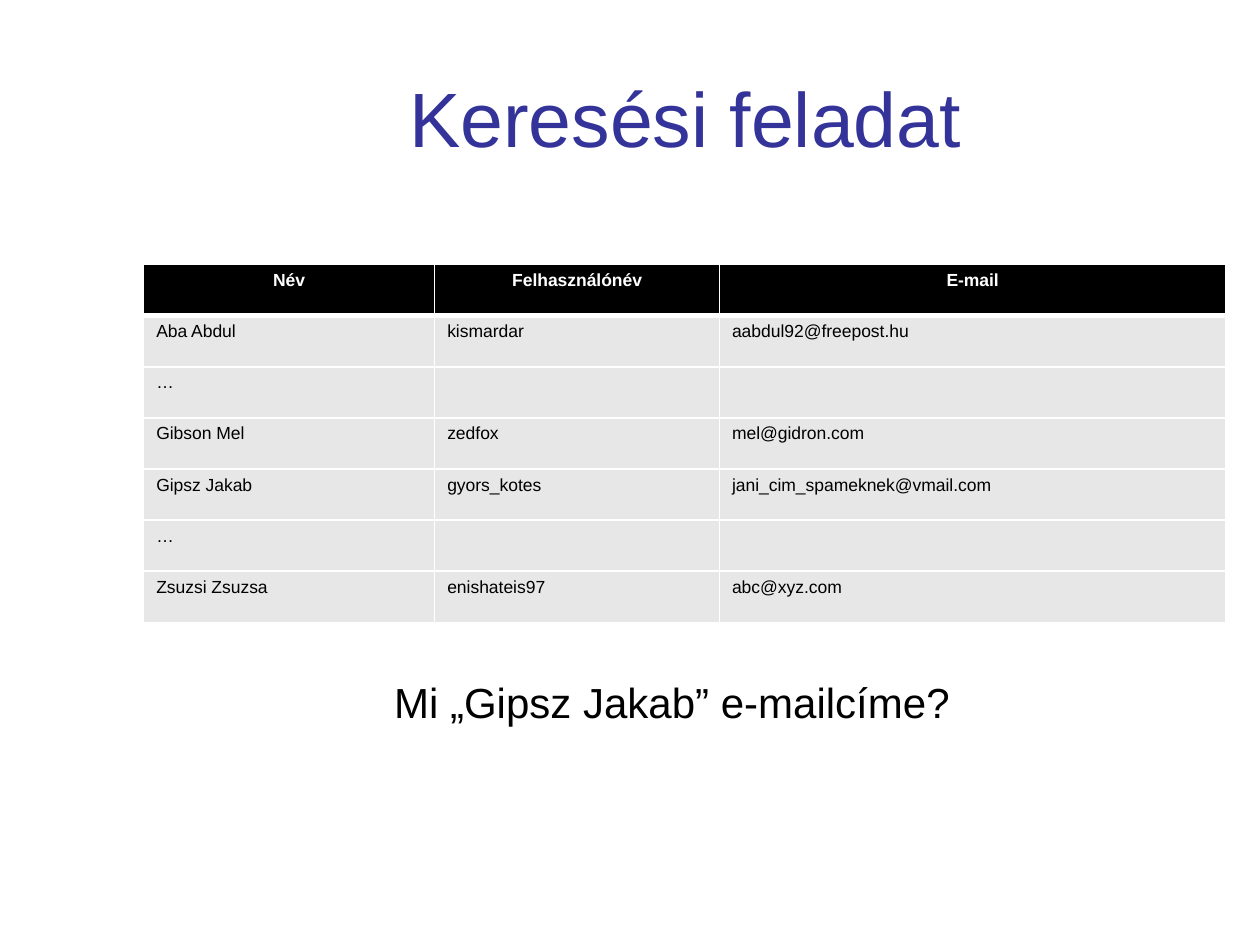
from dataclasses import dataclass

from lxml import etree
from pptx import Presentation
from pptx.dml.color import RGBColor
from pptx.enum import text
from pptx.oxml import ns
from pptx.util import Inches, Pt

COLOURS = {"title": "333399", "header": "000000", "row": "E7E7E7",
           "light": "FFFFFF", "dark": "000000"}
FONT = "Arial"
COLUMN_WIDTHS = (2.31, 2.26, 4.02)
TABLE_HEIGHT = 2.84
HEADINGS = ("Név", "Felhasználónév", "E-mail")
USERS = (
    ("Aba Abdul", "kismardar", "aabdul92@freepost.hu"),
    ("…", "", ""),
    ("Gibson Mel", "zedfox", "mel@gidron.com"),
    ("Gipsz Jakab", "gyors_kotes", "jani_cim_spameknek@vmail.com"),
    ("…", "", ""),
    ("Zsuzsi Zsuzsa", "enishateis97", "abc@xyz.com"),
)


@dataclass(frozen=True)
class Caption:
    wording: str
    left: float
    top: float
    width: float
    height: float
    size: int
    colour: str
    align: text.PP_ALIGN
    anchor: text.MSO_ANCHOR
    wrap: bool


CAPTIONS = (
    Caption("Keresési feladat", 1.38, 0.3, 8.12, 1.25, 44, "title",
            text.PP_ALIGN.CENTER, text.MSO_ANCHOR.MIDDLE, True),
    Caption("Mi „Gipsz Jakab” e-mailcíme?", 3.03, 5.32, 4.66, 0.5, 24, "dark",
            text.PP_ALIGN.LEFT, text.MSO_ANCHOR.TOP, False),
)


def rgb(name: str) -> RGBColor:
    return RGBColor.from_string(COLOURS[name])


def style_paragraph(paragraph, size: int, colour: str, align, bold: bool = False) -> None:
    paragraph.alignment = align
    font = paragraph.font
    font.name, font.size, font.bold = FONT, Pt(size), bold
    font.color.rgb = rgb(colour)


def draw_caption(slide, caption: Caption) -> None:
    box = slide.shapes.add_textbox(Inches(caption.left), Inches(caption.top),
                                   Inches(caption.width), Inches(caption.height))
    frame = box.text_frame
    frame.word_wrap = caption.wrap
    frame.vertical_anchor = caption.anchor
    frame.text = caption.wording
    style_paragraph(frame.paragraphs[0], caption.size, caption.colour, caption.align)


def set_borders(cell, bottom: float) -> None:
    """Give the cell white 1 pt borders, with its own weight at the bottom."""
    properties = cell._tc.get_or_add_tcPr()
    weights = {"a:lnL": 1, "a:lnR": 1, "a:lnT": 1, "a:lnB": bottom}
    for position, (side, weight) in enumerate(weights.items()):
        line = etree.Element(ns.qn(side), w=str(Pt(weight)))
        fill = etree.SubElement(line, ns.qn("a:solidFill"))
        etree.SubElement(fill, ns.qn("a:srgbClr"), val=COLOURS["light"])
        properties.insert(position, line)


def draw_users(slide) -> None:
    records = (HEADINGS, *USERS)
    users = slide.shapes.add_table(
        len(records), len(HEADINGS), Inches(1.14), Inches(2.1),
        Inches(sum(COLUMN_WIDTHS)), Inches(TABLE_HEIGHT)).table
    for column, width in zip(users.columns, COLUMN_WIDTHS):
        column.width = Inches(width)
    for row, record in enumerate(records):
        heading = row == 0
        for column, wording in enumerate(record):
            cell = users.cell(row, column)
            cell.fill.solid()
            cell.fill.fore_color.rgb = rgb("header" if heading else "row")
            if heading:
                set_borders(cell, bottom=3)
            cell.text = wording
            style_paragraph(cell.text_frame.paragraphs[0], 10,
                            "light" if heading else "dark",
                            text.PP_ALIGN.CENTER if heading else text.PP_ALIGN.LEFT,
                            heading)


def main() -> None:
    deck = Presentation()
    deck.slide_width, deck.slide_height = Inches(10), Inches(7.5)
    slide = deck.slides.add_slide(deck.slide_layouts[6])
    draw_users(slide)
    for caption in CAPTIONS:
        draw_caption(slide, caption)
    deck.save("out.pptx")


if __name__ == "__main__":
    main()
